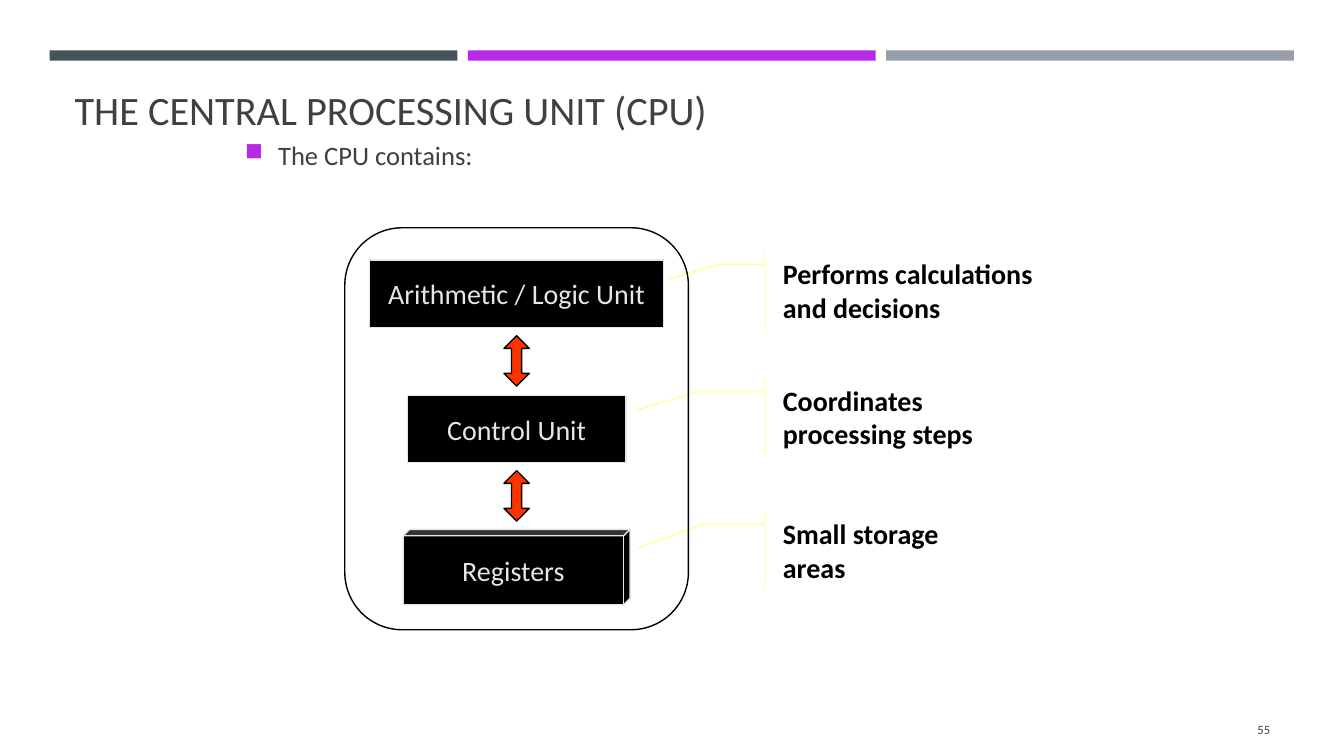
"""Builds a slide on the parts of the central processing unit."""
from lxml import etree
from pptx import Presentation, util as u
from pptx.dml.color import RGBColor
from pptx.enum import shapes, text
from pptx.oxml.ns import qn

COLOURS = {
    "slate": "465359", "purple": "B629E7", "grey": "969FA7",
    "ink": "404040", "black": "000000", "white": "FFFFFF",
    "pale": "E4E8E2", "yellow": "FFFF99", "red": "FF3300",
}
KIND = shapes.MSO_SHAPE
ALIGN = text.PP_ALIGN
ANCHOR = text.MSO_ANCHOR


def write(box, words, size, colour="ink", bold=False, align=ALIGN.LEFT,
          anchor=ANCHOR.MIDDLE, wrap=True):
    """Put one formatted paragraph in a box and return the paragraph."""
    frame = box.text_frame
    frame.word_wrap = wrap
    frame.vertical_anchor = anchor
    para = frame.paragraphs[0]
    para.alignment = align
    span = para.add_run()
    span.text = words
    span.font.name = "Calibri"
    span.font.size = u.Pt(size)
    span.font.bold = bold
    span.font.color.rgb = RGBColor.from_string(COLOURS[colour])
    return para


def draw(kind, left, top, width, height, fill=None, line=None, adjust=()):
    """Add a flat shape, with lengths in centimetres."""
    shape = page.shapes.add_shape(kind, u.Cm(left), u.Cm(top), u.Cm(width), u.Cm(height))
    shape.shadow.inherit = False
    if fill:
        shape.fill.solid()
        shape.fill.fore_color.rgb = RGBColor.from_string(COLOURS[fill])
    else:
        shape.fill.background()
    if line:
        shape.line.color.rgb = RGBColor.from_string(COLOURS[line])
        shape.line.width = u.Pt(1)
    else:
        shape.line.fill.background()
    for index, value in enumerate(adjust):
        shape.adjustments[index] = value
    return shape


deck = Presentation()
deck.slide_width, deck.slide_height = u.Cm(33.87), u.Cm(19.05)
page = deck.slides.add_slide(deck.slide_layouts[6])

for column, colour in enumerate(["slate", "purple", "grey"]):
    draw(KIND.RECTANGLE, 1.25 + column * 10.54, 1.27, 10.28, 0.26, colour)

title = page.shapes.add_textbox(u.Cm(1.63), u.Cm(1.96), u.Cm(30.63), u.Cm(1.57))
write(title, "THE CENTRAL PROCESSING UNIT (CPU)", 28.8)
number = page.shapes.add_textbox(u.Cm(29.34), u.Cm(17.86), u.Cm(2.92), u.Cm(1.02))
write(number, "55", 9, align=ALIGN.RIGHT)

body = page.shapes.add_textbox(u.Cm(5.92), u.Cm(3.26), u.Cm(23.06), u.Cm(1.2))
intro = write(body, "The CPU contains:", 19)
intro.line_spacing = 1.1
properties = intro._p.get_or_add_pPr()
properties.set("marL", str(u.Cm(0.84)))
properties.set("indent", str(-u.Cm(0.84)))
bullet_colour = etree.SubElement(properties, qn("a:buClr"))
etree.SubElement(bullet_colour, qn("a:srgbClr"), val=COLOURS["purple"])
etree.SubElement(properties, qn("a:buSzPct"), val="92000")
etree.SubElement(properties, qn("a:buChar"), char="■")

middle = 13.02
units = [
    ("Arithmetic / Logic Unit", KIND.RECTANGLE, 6.55, 7.42, 1.7, ()),
    ("Control Unit", KIND.RECTANGLE, 9.96, 5.51, 1.7, ()),
    ("Registers", KIND.CUBE, 13.34, 5.72, 1.9, (0.085,)),
]
for words, kind, top, width, height, adjust in units:
    unit = draw(kind, middle - width / 2, top, width, height, "black", "pale", adjust)
    write(unit, words, 20, "pale", align=ALIGN.CENTER, wrap=False)

notes = [
    ("Performs calculations and decisions", 6.35, 7.42, 1.4, 2.63, 0.349),
    ("Coordinates processing steps", 9.53, 5.72, 1.81, 3.47, 0.411),
    ("Small storage areas", 12.9, 4.98, 1.78, 3.4, 0.462),
]
for words, top, width, bend, reach, drop in notes:
    leader = (0.16, -0.21 / width, 0.16, -bend / width, drop, -reach / width)
    note = draw(KIND.LINE_CALLOUT_2_ACCENT_BAR, 19.48, top, width, 1.98,
                "white", "yellow", leader)
    write(note, words, 20, "black", bold=True, anchor=ANCHOR.TOP)

draw(KIND.ROUNDED_RECTANGLE, middle - 4.33, 5.74, 8.66, 10.13, line="black", adjust=(0.167,))
for top in (8.46, 11.86):
    draw(KIND.UP_DOWN_ARROW, middle - 0.32, top, 0.64, 1.27, "red", "black", (0.5, 0.4))

deck.save("out.pptx")
